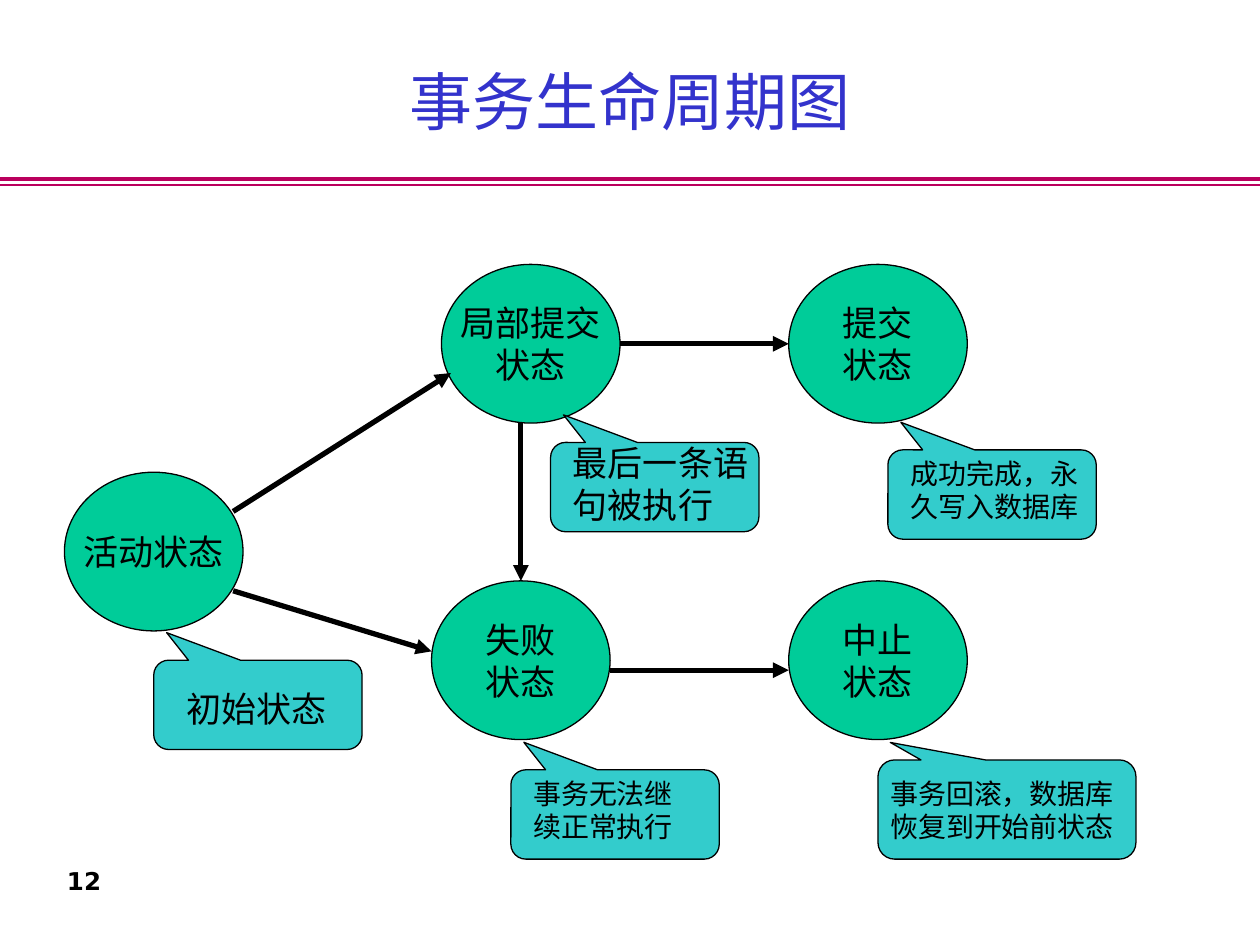
from dataclasses import dataclass

from lxml import etree
from pptx import Presentation
from pptx.dml.color import RGBColor
from pptx.enum.shapes import MSO_CONNECTOR, MSO_SHAPE
from pptx.enum.text import MSO_ANCHOR, MSO_AUTO_SIZE, PP_ALIGN
from pptx.oxml.ns import qn
from pptx.util import Cm, Pt

OVAL = MSO_SHAPE.OVAL
BUBBLE = MSO_SHAPE.ROUNDED_RECTANGULAR_CALLOUT
STRAIGHT = MSO_CONNECTOR.STRAIGHT
LEFT, CENTER, RIGHT = PP_ALIGN.LEFT, PP_ALIGN.CENTER, PP_ALIGN.RIGHT
TOP, MIDDLE = MSO_ANCHOR.TOP, MSO_ANCHOR.MIDDLE
GROW = MSO_AUTO_SIZE.SHAPE_TO_FIT_TEXT


@dataclass(frozen=True)
class Theme:
    font: str = "DejaVu Sans"
    ink: str = "000000"
    title: str = "3333CC"
    rule: str = "BA005D"
    state: str = "00CC99"
    note: str = "33CCCC"
    head: int = 36
    body: int = 20
    small: int = 16
    foot: int = 14


@dataclass(frozen=True)
class State:
    x: float
    y: float
    lines: tuple[str, ...]


@dataclass(frozen=True)
class Note:
    box: tuple[float, ...]
    label: tuple[float, ...]
    lines: tuple[str, ...]
    size: int
    tip: tuple[float, float] = (-0.438, -0.809)


@dataclass(frozen=True)
class Line:
    start: tuple[float, float]
    end: tuple[float, float]
    color: str
    width: float
    arrow: bool = False


THEME = Theme()
WIDE, HIGH = 3.6, 3.2  # state ellipse
ROW1, ROW2, COL3 = 5.33, 11.71, 15.9

STATES = (
    State(1.3, 9.52, ("活动状态",)),
    State(8.9, ROW1, ("局部提交", "状态")),
    State(COL3, ROW1, ("提交", "状态")),
    State(8.7, ROW2, ("失败", "状态")),
    State(COL3, ROW2, ("中止", "状态")),
)
RULES = (
    Line((0, 3.61), (25.4, 3.61), THEME.rule, 2.25),
    Line((0, 3.73), (25.4, 3.73), THEME.rule, 1),
)
ARROWS = tuple(Line(a, b, THEME.ink, 3, True) for a, b in (
    ((4.7, 10.31), (9.09, 7.52)),
    ((4.7, 11.91), (8.7, 13.13)),
    ((10.5, ROW1 + HIGH), (10.5, ROW2)),
    ((12.5, 6.93), (COL3, 6.93)),
    ((12.3, 13.51), (COL3, 13.51)),
))
NOTES = (
    Note((3.1, 13.31, 4.2, 1.8), (3.51, 13.72, 3.4, 1.12),
         ("初始状态",), THEME.body),
    Note((11.1, 8.92, 4.2, 1.8), (11.3, 8.78, 4.1, 1.96),
         ("最后一条语", "句被执行"), THEME.body),
    Note((17.9, 9.07, 4.2, 1.8), (18.11, 9.07, 4, 1.63),
         ("成功完成，永", "久写入数据库"), THEME.small),
    Note((10.3, 15.52, 4.2, 1.8), (10.5, 15.52, 3.4, 1.63),
         ("事务无法继", "续正常执行"), THEME.small),
    Note((17.7, 15.32, 5.2, 2), (17.7, 15.52, 5.15, 1.63),
         ("事务回滚，数据库", "恢复到开始前状态"), THEME.small, (-0.452, -0.676)),
)


def rgb(code: str) -> RGBColor:
    return RGBColor.from_string(code)


def apply(target, values: dict) -> None:
    for name, value in values.items():
        setattr(target, name, value)


def write(shape, lines: tuple[str, ...], size: int, color: str = THEME.ink,
          align=CENTER, anchor=MIDDLE, wrap: bool = False, bold: bool = False) -> None:
    frame = shape.text_frame
    apply(frame, {
        "text": "\n".join(lines), "word_wrap": wrap, "vertical_anchor": anchor,
        "margin_left": Cm(0.25), "margin_right": Cm(0.25),
        "margin_top": Cm(0.13), "margin_bottom": Cm(0.13),
    })
    for para in frame.paragraphs:
        para.alignment = align
        for run in para.runs:
            apply(run.font, {"name": THEME.font, "size": Pt(size), "bold": bold})
            run.font.color.rgb = rgb(color)


def add_text(slide, box: tuple[float, ...], *args, **style):
    shape = slide.shapes.add_textbox(*map(Cm, box))
    write(shape, *args, **style)
    return shape


def add_form(slide, kind, box: tuple[float, ...], fill: str):
    shape = slide.shapes.add_shape(kind, *map(Cm, box))
    shape.shadow.inherit = False
    shape.fill.solid()
    shape.fill.fore_color.rgb = rgb(fill)
    shape.line.color.rgb = rgb(THEME.ink)
    shape.line.width = Pt(0.75)
    return shape


def add_state(slide, state: State) -> None:
    shape = add_form(slide, OVAL, (state.x, state.y, WIDE, HIGH), THEME.state)
    write(shape, state.lines, THEME.body)


def add_note(slide, note: Note) -> None:
    shape = add_form(slide, BUBBLE, note.box, THEME.note)
    for i, value in enumerate((*note.tip, 0.167)):
        shape.adjustments[i] = value
    label = add_text(slide, note.label, note.lines, note.size, align=LEFT, anchor=TOP)
    label.text_frame.auto_size = GROW


def add_line(slide, item: Line) -> None:
    line = slide.shapes.add_connector(STRAIGHT, *map(Cm, item.start + item.end))
    line.line.color.rgb = rgb(item.color)
    line.line.width = Pt(item.width)
    props = line._element.spPr
    if item.arrow:
        etree.SubElement(props.find(qn("a:ln")), qn("a:tailEnd"), type="triangle")
    etree.SubElement(props, qn("a:effectLst"))


def main() -> None:
    deck = Presentation()
    apply(deck, {"slide_width": Cm(25.4), "slide_height": Cm(19.05)})
    slide = deck.slides.add_slide(deck.slide_layouts[6])

    # Header rules, page number and title
    for rule in RULES:
        add_line(slide, rule)
    add_text(slide, (0.69, 17.12, 1.6, 1.27), ("12",), THEME.foot,
             align=RIGHT, bold=True)
    add_text(slide, (1.9, 0.43, 21.6, 3.18), ("事务生命周期图",), THEME.head,
             THEME.title, wrap=True)

    # Life cycle diagram
    for state in STATES:
        add_state(slide, state)
    for arrow in ARROWS:
        add_line(slide, arrow)
    for note in NOTES:
        add_note(slide, note)

    deck.save("out.pptx")


if __name__ == "__main__":
    main()
